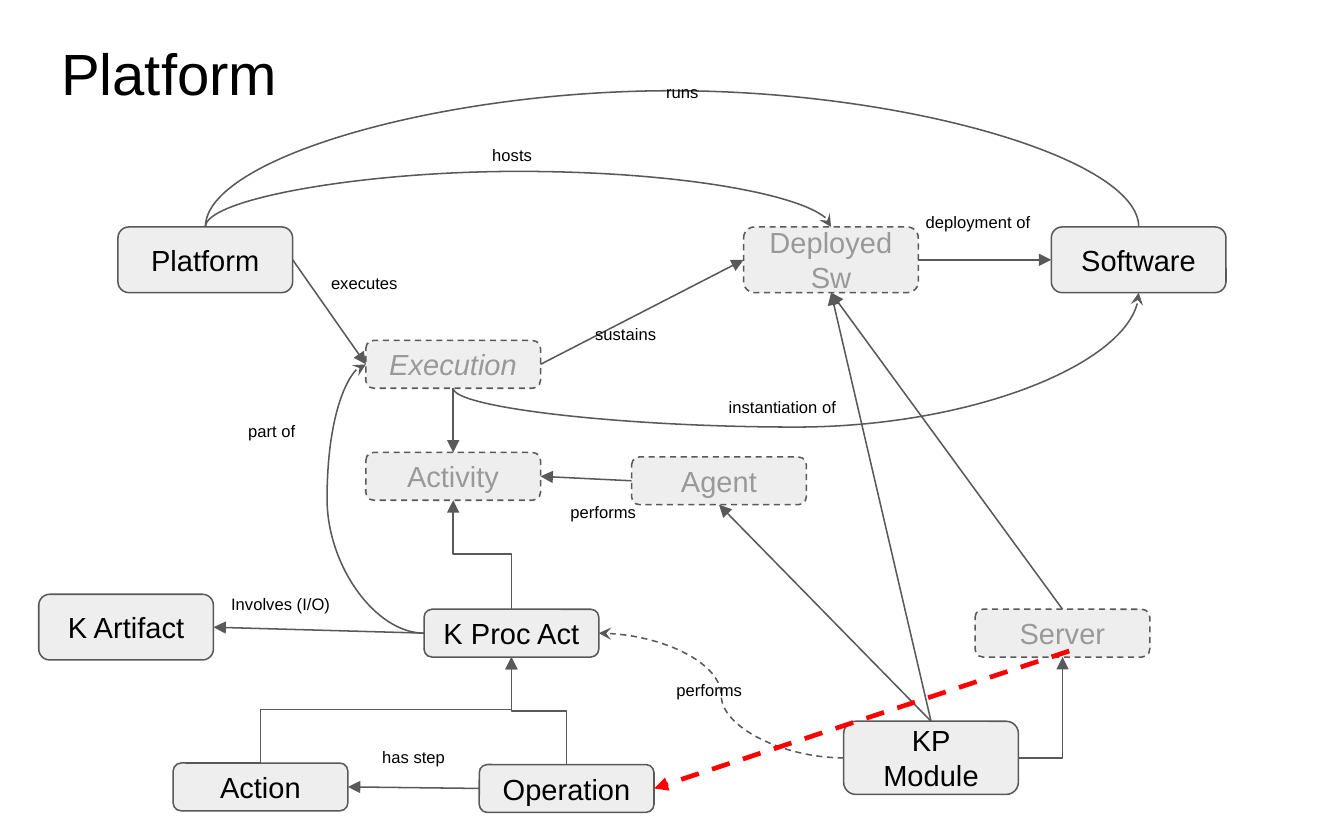
from lxml import etree
from pptx import Presentation
from pptx.dml.color import RGBColor
from pptx.enum import dml, shapes, text
from pptx.oxml.ns import qn
from pptx.util import Emu, Inches, Pt

TITLE = "Platform"
GREY, RED = "595959", "FF0000"
WIDE = 1.17
THIN = Emu(600).inches  # least extent of a path between level ends
TOP, LEFT, BOTTOM, RIGHT = range(4)

# name: (left, top, height, faded)
NODES = {
    "Platform": (0.79, 1.52, 0.44, False),
    "Deployed Sw": (4.98, 1.52, 0.44, True),
    "Software": (7.04, 1.52, 0.44, False),
    "Execution": (2.45, 2.28, 0.32, True),
    "Activity": (2.45, 3.03, 0.32, True),
    "K Proc Act": (2.84, 4.08, 0.32, False),
    "Agent": (4.23, 3.06, 0.32, True),
    "KP Module": (5.65, 4.83, 0.49, False),
    "Server": (6.53, 4.08, 0.32, True),
    "K Artifact": (0.26, 3.98, 0.44, False),
    "Operation": (3.21, 5.12, 0.32, False),
    "Action": (1.16, 5.11, 0.32, False),
}

# from, side, to, side
STRAIGHT = [
    ("Platform", RIGHT, "Execution", LEFT),
    ("Execution", RIGHT, "Deployed Sw", LEFT),
    ("Deployed Sw", RIGHT, "Software", LEFT),
    ("Execution", BOTTOM, "Activity", TOP),
    ("KP Module", TOP, "Agent", BOTTOM),
    ("Agent", LEFT, "Activity", RIGHT),
    ("KP Module", TOP, "Deployed Sw", BOTTOM),
    ("Server", TOP, "Deployed Sw", BOTTOM),
    ("K Proc Act", LEFT, "K Artifact", RIGHT),
    ("Operation", LEFT, "Action", RIGHT),
]

# from, side, to, side, x or y of the middle stretch, arrowhead, dashed
CURVED = [
    ("Platform", TOP, "Deployed Sw", TOP, 1.21, "stealth", False),
    ("Platform", TOP, "Software", TOP, 0.76, None, False),
    ("Execution", BOTTOM, "Software", BOTTOM, 2.86, "stealth", False),
    ("K Proc Act", LEFT, "Execution", LEFT, 2.19, "stealth", False),
    ("KP Module", LEFT, "K Proc Act", RIGHT, 4.83, "stealth", True),
]

# None: a single corner
BENT = [
    ("K Proc Act", TOP, "Activity", BOTTOM, 3.71, "triangle", False),
    ("KP Module", RIGHT, "Server", BOTTOM, None, "triangle", False),
    ("Operation", TOP, "K Proc Act", BOTTOM, 4.76, "triangle", False),
    ("Action", TOP, "K Proc Act", BOTTOM, 4.75, "triangle", False),
]

LABELS = [
    ("executes", 1.87, 1.73), ("deployment of", 5.98, 1.32),
    ("sustains", 3.62, 2.07), ("hosts", 2.86, 0.87), ("runs", 4, 0.45),
    ("instantiation of", 4.67, 2.56), ("part of", 1.25, 2.72),
    ("performs", 3.47, 3.26), ("performs", 4.18, 4.45),
    ("Involves (I/O)", 1.31, 3.88), ("has step", 2.2, 4.9),
]


def rgb(code):
    return RGBColor.from_string(code)


def write(shape, words, size, color="000000", align="CENTER", anchor="TOP"):
    frame = shape.text_frame
    frame.text = words
    frame.word_wrap = True
    frame.auto_size = text.MSO_AUTO_SIZE.NONE
    frame.vertical_anchor = text.MSO_ANCHOR[anchor]
    frame.margin_left = frame.margin_right = Inches(0.1)
    frame.margin_top = frame.margin_bottom = Inches(0.1)
    para = frame.paragraphs[0]
    para.alignment = text.PP_ALIGN[align]
    font = para.runs[0].font
    font.name, font.size = "Arial", Pt(size)
    font.color.rgb = rgb(color)
    return font


def stroke(line, color=GREY, width=0.75, dash=False):
    line.color.rgb = rgb(color)
    line.width = Pt(width)
    if dash:
        line.dash_style = dml.MSO_LINE.DASH


def link(kind, start, end, head="triangle", **look):
    wire = slide.shapes.add_connector(
        shapes.MSO_CONNECTOR[kind], *(Inches(v) for v in (*start, *end)))
    stroke(wire.line, **look)
    if head:
        etree.SubElement(wire.line._get_or_add_ln(), qn("a:tailEnd"), type=head)
    etree.SubElement(wire._element.spPr, qn("a:effectLst"))
    return wire


def site(name, side):
    """Middle of one side of a node."""
    x, y, high, _ = NODES[name]
    return {TOP: (x + WIDE / 2, y), LEFT: (x, y + high / 2),
            BOTTOM: (x + WIDE / 2, y + high), RIGHT: (x + WIDE, y + high / 2)}[side]


def join(kind, a, out, b, into, head="triangle", dash=False):
    wire = link(kind, site(a, out), site(b, into), head, dash=dash)
    wire.begin_connect(boxes[a], out)
    wire.end_connect(boxes[b], into)
    return wire


def route(kind, a, out, b, into, via, head, dash):
    """Join two nodes by a path that leaves along the side's own axis."""
    wire = join(kind, a, out, b, into, head, dash)
    (x1, y1), (x2, y2) = site(a, out), site(b, into)
    if out in (TOP, BOTTOM):
        turn, run, rise, first, last = 270, y1 - y2, x2 - x1, y1, y2
    else:
        turn, run, rise, first, last = 0, x2 - x1, y2 - y1, x1, x2
    if abs(run) < THIN:
        run, last = -THIN, first + THIN
    if rise < 0:
        turn, run, rise = (turn + 180) % 360, -run, -rise
    wide = abs(run)
    wire.left, wire.top = Inches((x1 + x2 - wide) / 2), Inches((y1 + y2 - rise) / 2)
    wire.width, wire.height = Inches(wide), Inches(rise)
    xfrm = wire._element.spPr.find(qn("a:xfrm"))
    for flip in ("flipH", "flipV"):
        xfrm.attrib.pop(flip, None)
    xfrm.set("rot", str(turn * 60000))
    if run < 0:
        xfrm.set("flipH", "1")
    geom = wire._element.spPr.find(qn("a:prstGeom"))
    if via is None:
        geom.set("prst", "bentConnector2")
    else:
        bend = round((via - first) / (last - first) * 100000)
        etree.SubElement(geom.find(qn("a:avLst")), qn("a:gd"),
                         name="adj1", fmla=f"val {bend}")


deck = Presentation()
deck.slide_width, deck.slide_height = Inches(9), Inches(9 * 10 / 16)
slide = deck.slides.add_slide(deck.slide_layouts[5])

title = slide.shapes.title
title.left, title.top = Inches(0.31), Inches(0.15)
title.width, title.height = Inches(8.39), Inches(0.63)
write(title, TITLE, 28, align="LEFT")

boxes = {}
for name, (x, y, high, faded) in NODES.items():
    box = slide.shapes.add_shape(
        shapes.MSO_SHAPE.ROUNDED_RECTANGLE,
        Inches(x), Inches(y), Inches(WIDE), Inches(high))
    box.shadow.inherit = False
    box.fill.solid()
    box.fill.fore_color.rgb = rgb("EFEFEF" if name == "Execution" else "EEEEEE")
    stroke(box.line, dash=faded)
    font = write(box, name, 14, "999999" if faded else "000000", anchor="MIDDLE")
    font.italic = name == "Execution"
    boxes[name] = box

for ends in STRAIGHT:
    join("STRAIGHT", *ends)
for path in CURVED:
    route("CURVE", *path)
for path in BENT:
    route("ELBOW", *path)
link("STRAIGHT", (7.16, 4.36), (4.38, 5.28), color=RED, width=2.25, dash=True)

for words, x, y in LABELS:
    note = slide.shapes.add_textbox(Inches(x), Inches(y), Inches(1.14), Inches(0.32))
    write(note, words, 8)

deck.save("out.pptx")
